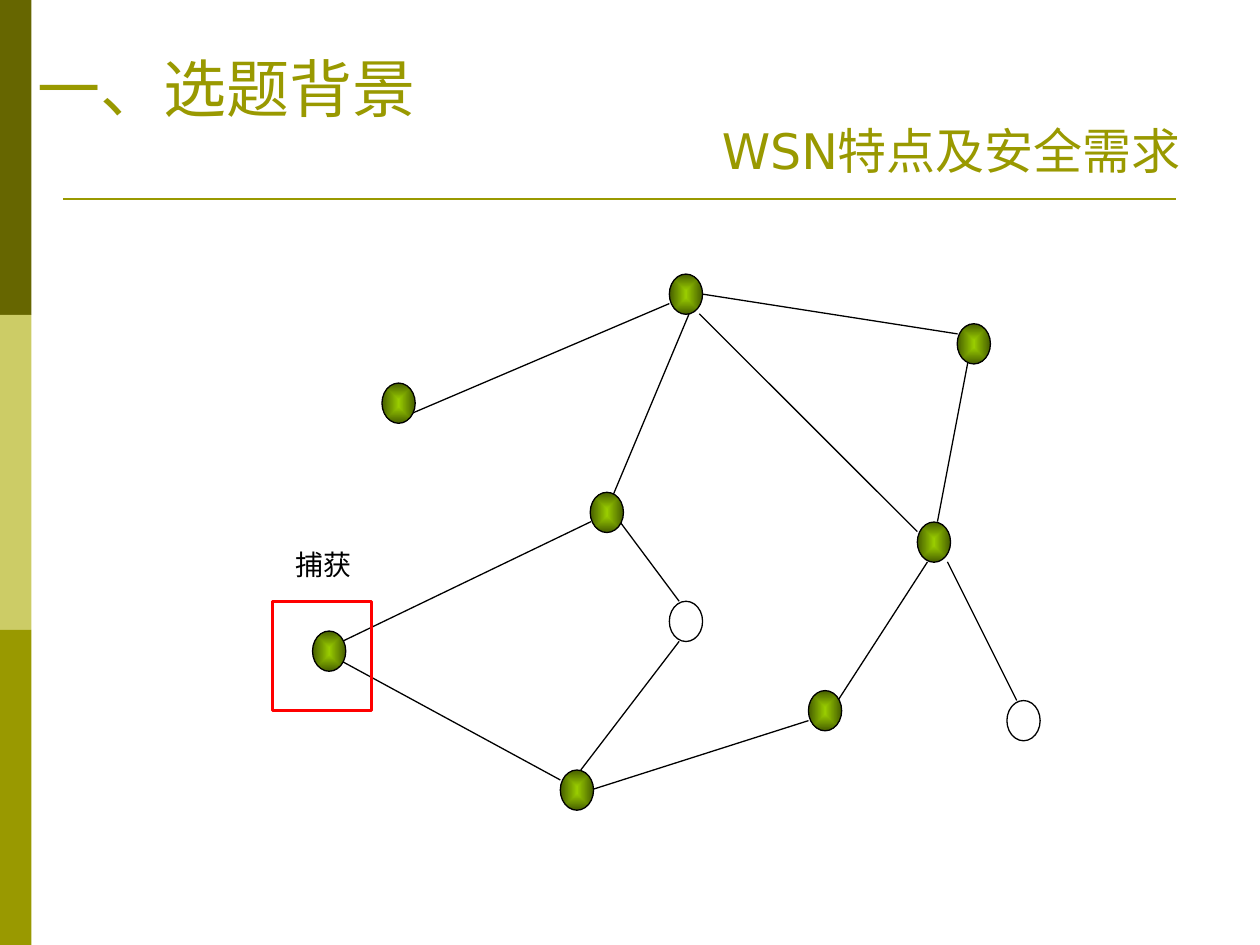
from typing import NamedTuple

import pptx
import pptx.dml.color
import pptx.enum.shapes
import pptx.enum.text
import pptx.util
from lxml import etree
from pptx.oxml.ns import qn

Pt = pptx.util.Pt
RGBColor = pptx.dml.color.RGBColor
MSO_SHAPE = pptx.enum.shapes.MSO_SHAPE
MSO_ANCHOR = pptx.enum.text.MSO_ANCHOR
PP_ALIGN = pptx.enum.text.PP_ALIGN

DARK_OLIVE = RGBColor(0x66, 0x66, 0x00)
PALE_OLIVE = RGBColor(0xCC, 0xCC, 0x66)
OLIVE = RGBColor(0x99, 0x99, 0x00)
NODE_CENTRE = RGBColor(0x99, 0xCC, 0x00)
NODE_EDGE = RGBColor(0x46, 0x5E, 0x00)
BLACK = RGBColor(0, 0, 0)
RED = RGBColor(0xFF, 0, 0)

NODE_WIDTH, NODE_HEIGHT = 19, 23
BAND_WIDTH, BAND_HEIGHT = 18, 180


class Box(NamedTuple):
    left: float
    top: float
    width: float
    height: float


class Node(NamedTuple):
    left: float
    top: float
    active: bool = True


class Link(NamedTuple):
    x1: float
    y1: float
    x2: float
    y2: float


class Label(NamedTuple):
    text: str
    box: Box
    size: float
    font: str
    color: RGBColor
    anchor: MSO_ANCHOR = MSO_ANCHOR.BOTTOM
    align: PP_ALIGN = PP_ALIGN.LEFT
    wrap: bool = True


BANDS = [DARK_OLIVE, PALE_OLIVE, OLIVE]
HEADER_RULE = Link(36, 113.8, 671.8, 113.8)
CAPTURE_FRAME = Box(155.7, 343.6, 56.7, 62.4)

LABELS = [
    Label("一、选题背景", Box(14.4, 9.4, 272.2, 65.5), 36, "Times New Roman", OLIVE),
    Label("WSN特点及安全需求", Box(405.4, 60.5, 283.7, 45.4), 28, "DejaVu Sans", OLIVE),
    Label("捕获", Box(162, 309.6, 46.1, 26.6), 16, "Arial", BLACK,
          MSO_ANCHOR.TOP, PP_ALIGN.CENTER, False),
]

NODES = [
    Node(218.3, 218.9),
    Node(382.5, 156.6),
    Node(337.3, 281.3),
    Node(547, 185),
    Node(524.2, 298.3),
    Node(320.2, 440),
    Node(462, 394.6),
    Node(178.6, 360.6),
    Node(382.5, 343.6, active=False),
    Node(575.4, 400.3, active=False),
]

LINKS = [
    Link(195.6, 378, 320.2, 445.7),
    Link(337.7, 451.4, 462, 411.8),
    Link(478.8, 400.3, 530, 321.1),
    Link(195.6, 366.5, 337.7, 298.1),
    Link(235.4, 236.2, 382.5, 173.5),
    Link(393.8, 179.3, 348.5, 287.3),
    Link(399.6, 167.8, 547.2, 190.8),
    Link(553, 207.4, 535.7, 298.1),
    Link(399.6, 179.3, 524.2, 303.8),
    Link(354.2, 298.1, 388.1, 343.6),
    Link(388.1, 366.5, 331.9, 440),
    Link(541.4, 321.1, 581, 400.3),
]


def draw_shape(slide, preset: MSO_SHAPE, box: Box):
    shape = slide.shapes.add_shape(preset, *map(Pt, box))
    shape.shadow.inherit = False
    shape.fill.background()
    shape.line.fill.background()
    return shape


def outline(shape, color: RGBColor, width: float) -> None:
    shape.line.color.rgb = color
    shape.line.width = Pt(width)


def draw_line(slide, link: Link, color: RGBColor, width: float) -> None:
    line = slide.shapes.add_connector(
        pptx.enum.shapes.MSO_CONNECTOR.STRAIGHT, *map(Pt, link))
    outline(line, color, width)
    etree.SubElement(line._element.spPr, qn("a:effectLst"))


def fill_from_centre(shape) -> None:
    """Fill with a rectangular gradient running outwards from the middle."""
    shape.fill.gradient()
    for stop, color in zip(shape.fill.gradient_stops, (NODE_CENTRE, NODE_EDGE)):
        stop.color.rgb = color
    gradient = shape._element.spPr.find(qn("a:gradFill"))
    gradient.remove(gradient.find(qn("a:lin")))
    route = etree.Element(qn("a:path"), path="rect")
    etree.SubElement(route, qn("a:fillToRect"),
                     dict.fromkeys("ltrb", "50000"))
    gradient.find(qn("a:gsLst")).addnext(route)


def draw_node(slide, node: Node) -> None:
    oval = draw_shape(slide, MSO_SHAPE.OVAL,
                      Box(node.left, node.top, NODE_WIDTH, NODE_HEIGHT))
    outline(oval, BLACK, 0.75)
    if node.active:
        fill_from_centre(oval)


def draw_label(slide, label: Label) -> None:
    frame = slide.shapes.add_textbox(*map(Pt, label.box)).text_frame
    frame.word_wrap = label.wrap
    frame.vertical_anchor = label.anchor
    frame.text = label.text
    paragraph = frame.paragraphs[0]
    paragraph.alignment = label.align
    font = paragraph.runs[0].font
    font.size = Pt(label.size)
    font.name = label.font
    font.color.rgb = label.color


def main() -> None:
    deck = pptx.Presentation()
    deck.slide_width, deck.slide_height = Pt(720), Pt(540)
    slide = deck.slides.add_slide(deck.slide_layouts[6])

    for row, color in enumerate(BANDS):
        band = draw_shape(slide, MSO_SHAPE.RECTANGLE,
                          Box(0, row * BAND_HEIGHT, BAND_WIDTH, BAND_HEIGHT))
        band.fill.solid()
        band.fill.fore_color.rgb = color
    draw_line(slide, HEADER_RULE, OLIVE, 1.5)

    for link in LINKS:
        draw_line(slide, link, BLACK, 0.75)
    for node in NODES:
        draw_node(slide, node)
    outline(draw_shape(slide, MSO_SHAPE.RECTANGLE, CAPTURE_FRAME), RED, 1.75)

    for label in LABELS:
        draw_label(slide, label)
    deck.save("out.pptx")


if __name__ == "__main__":
    main()
